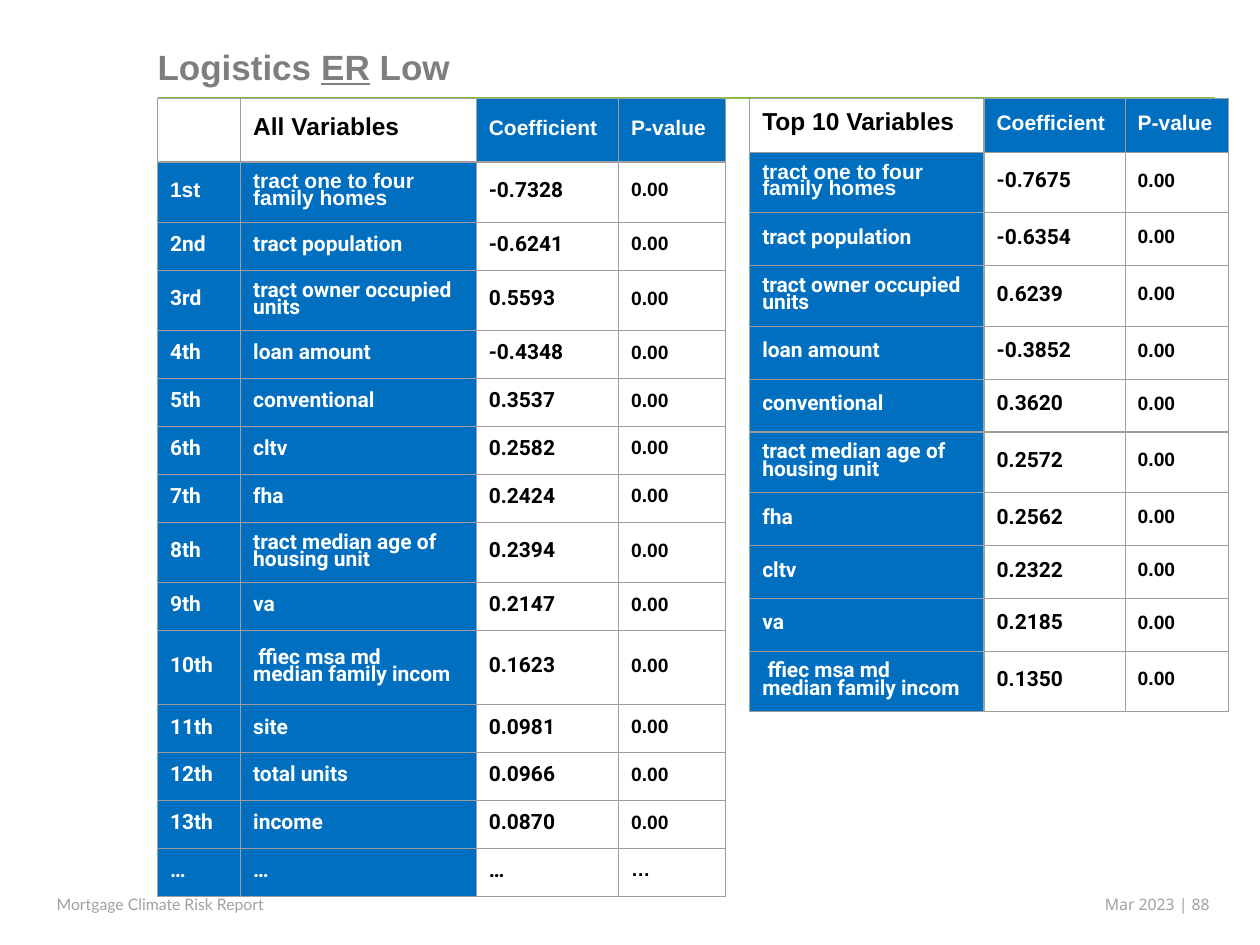
"""Build a slide with two tables of model coefficients."""
import dataclasses
import typing

import lxml.etree
import pptx
import pptx.dml.color
import pptx.enum.shapes
import pptx.enum.text
import pptx.oxml.ns
import pptx.util

Inches = pptx.util.Inches
Pt = pptx.util.Pt
qn = pptx.oxml.ns.qn

HUES = {
    "title": "7E7E7E", "rule": "87BC45", "blue": "006FC0", "grid": "9E9E9E",
    "white": "FFFFFF", "black": "000000", "foot": "A1A0A0",
}
HEAD = {"size": Pt(14), "name": "Arial", "bold": True, "color": "black"}
LABEL = {"size": Pt(12), "name": "Arial", "bold": True, "color": "white"}
NAME = {**LABEL, "name": "Roboto"}
VALUE = {**NAME, "color": "black"}
SMALL = {**HEAD, "size": Pt(11)}
MARGIN = 0.1
TOP = 0.78


@dataclasses.dataclass
class Row:
    """One variable with its coefficient and p-value."""
    name: str
    value: str
    prob: str = "0.00"
    height: float = 0


@dataclasses.dataclass
class Grid:
    """One table: place, columns, heading and rows."""
    left: float
    cols: list[float]
    title: str
    head: float
    step: float
    ranked: bool
    rows: list[Row]


@dataclasses.dataclass
class Note:
    """One footer text."""
    left: float
    width: float
    text: str
    font: str


HOMES = "tract one to four\nfamily homes"
INCOME = " ffiec msa md\nmedian family incom"
TALL = 0.48

GRIDS = [
    Grid(1.25, [0.66, 1.87, 1.13, 0.85], "All Variables", 0.5, 0.38, True, [
        Row(HOMES, "-0.7328", height=TALL),
        Row("tract population", "-0.6241"),
        Row("tract owner occupied units", "0.5593", height=TALL),
        Row("loan amount", "-0.4348"),
        Row("conventional", "0.3537"),
        Row("cltv", "0.2582"),
        Row("fha", "0.2424"),
        Row("tract median age of housing unit", "0.2394", height=TALL),
        Row("va", "0.2147"),
        Row(INCOME, "0.1623", height=0.59),
        Row("site", "0.0981"),
        Row("total units", "0.0966"),
        Row("income", "0.0870"),
        Row("…", "…", "…"),
    ]),
    Grid(5.95, [1.86, 1.12, 0.82], "Top 10 Variables", 0.43, 0.42, False, [
        Row(HOMES, "-0.7675", height=TALL),
        Row("tract population", "-0.6354"),
        Row("tract owner occupied units", "0.6239", height=TALL),
        Row("loan amount", "-0.3852"),
        Row("conventional", "0.3620"),
        Row("tract median age of housing unit", "0.2572", height=TALL),
        Row("fha", "0.2562"),
        Row("cltv", "0.2322"),
        Row("va", "0.2185"),
        Row(INCOME, "0.1350", height=TALL),
    ]),
]
NOTES = [
    Note(0.44, 1.94, "Mortgage Climate Risk Report", "Lato"),
    Note(8.76, 1.01, "Mar 2023 | 88", "Noto Sans"),
]


def tint(hue: str) -> pptx.dml.color.RGBColor:
    """Return a named colour."""
    return pptx.dml.color.RGBColor.from_string(HUES[hue])


def style(font: typing.Any, form: dict) -> None:
    """Apply format values to a font."""
    for key, value in form.items():
        if key == "color":
            font.color.rgb = tint(value)
        else:
            setattr(font, key, value)


def inset(frame: typing.Any, left: float, top: float) -> None:
    """Set the left and top insets and clear the others."""
    form = {"margin_left": left, "margin_top": top, "margin_right": 0, "margin_bottom": 0}
    for key, value in form.items():
        setattr(frame, key, Inches(value))
    frame.word_wrap = True
    frame.vertical_anchor = pptx.enum.text.MSO_ANCHOR.TOP


def border(cell: typing.Any) -> None:
    """Draw the four sides of a cell."""
    props = cell._tc.get_or_add_tcPr()
    for side in ("a:lnL", "a:lnR", "a:lnT", "a:lnB"):
        line = lxml.etree.SubElement(props, qn(side), w=str(Pt(0.75)))
        fill = lxml.etree.SubElement(line, qn("a:solidFill"))
        lxml.etree.SubElement(fill, qn("a:srgbClr"), val=HUES["grid"])


def write(cell: typing.Any, text: str, form: dict) -> None:
    """Fill, frame and letter one cell."""
    border(cell)
    if form["color"] == "white":
        cell.fill.solid()
        cell.fill.fore_color.rgb = tint("blue")
    else:
        cell.fill.background()
    for side in ("left", "top", "right", "bottom"):
        setattr(cell, f"margin_{side}", Inches(MARGIN))
    cell.vertical_anchor = pptx.enum.text.MSO_ANCHOR.MIDDLE
    if not text:
        return
    cell.text = text
    for para in cell.text_frame.paragraphs:
        para.line_spacing = 0.6 if form is HEAD else 0.7
        for run in para.runs:
            style(run.font, form)


def rank(place: int, last: int) -> str:
    """Return an ordinal, or dots for the last place."""
    if place == last:
        return "…"
    return f"{place}{ {1: 'st', 2: 'nd', 3: 'rd'}.get(place, 'th') }"


def draw_grid(slide: typing.Any, grid: Grid) -> None:
    """Draw one table."""
    tall = [grid.head] + [row.height or grid.step for row in grid.rows]
    table = slide.shapes.add_table(
        len(tall), len(grid.cols), Inches(grid.left), Inches(TOP),
        Inches(sum(grid.cols)), Inches(sum(tall))).table
    table.first_row = table.horz_banding = False
    for col, width in zip(table.columns, grid.cols):
        col.width = Inches(width)
    lines = [[("", HEAD), (grid.title, HEAD), ("Coefficient", LABEL), ("P-value", LABEL)]]
    for place, row in enumerate(grid.rows, 1):
        form = LABEL if place == 1 else NAME
        lines.append([(rank(place, len(grid.rows)), form), (row.name, form),
                      (row.value, VALUE), (row.prob, SMALL)])
    for line, row, height in zip(lines, table.rows, tall):
        row.height = Inches(height)
        for cell, (text, form) in zip(row.cells, line if grid.ranked else line[1:]):
            write(cell, text, form)


def draw_title(slide: typing.Any) -> None:
    """Place the title and the rule below it."""
    title = slide.shapes.title
    place = {"left": 1.25, "top": 0.01, "width": 8.13, "height": 0.69}
    for key, value in place.items():
        setattr(title, key, Inches(value))
    inset(title.text_frame, 0, 0.35)
    para = title.text_frame.paragraphs[0]
    para.alignment = pptx.enum.text.PP_ALIGN.LEFT
    for text, under in (("Logistics ", False), ("ER", True), (" Low", False)):
        run = para.add_run()
        run.text = text
        style(run.font, {**HEAD, "size": Pt(20), "color": "title", "underline": under})
    rule = slide.shapes.add_connector(
        pptx.enum.shapes.MSO_CONNECTOR.STRAIGHT,
        Inches(1.25), Inches(TOP), Inches(9.64), Inches(TOP))
    rule.line.color.rgb = tint("rule")
    rule.line.width = Pt(1)
    lxml.etree.SubElement(rule._element.spPr, qn("a:effectLst"))


def draw_note(slide: typing.Any, note: Note) -> None:
    """Place one footer text."""
    box = slide.shapes.add_textbox(
        Inches(note.left), Inches(7.09), Inches(note.width), Inches(0.16))
    inset(box.text_frame, 0.01, 0.01)
    run = box.text_frame.paragraphs[0].add_run()
    run.text = note.text
    style(run.font, {"size": Pt(9), "name": note.font, "color": "foot"})


def main() -> None:
    """Build and save the slide."""
    deck = pptx.Presentation()
    deck.slide_width, deck.slide_height = Inches(10), Inches(7.5)
    slide = deck.slides.add_slide(deck.slide_layouts[5])
    draw_title(slide)
    for grid in GRIDS:
        draw_grid(slide, grid)
    for note in NOTES:
        draw_note(slide, note)
    deck.save("out.pptx")


if __name__ == "__main__":
    main()
